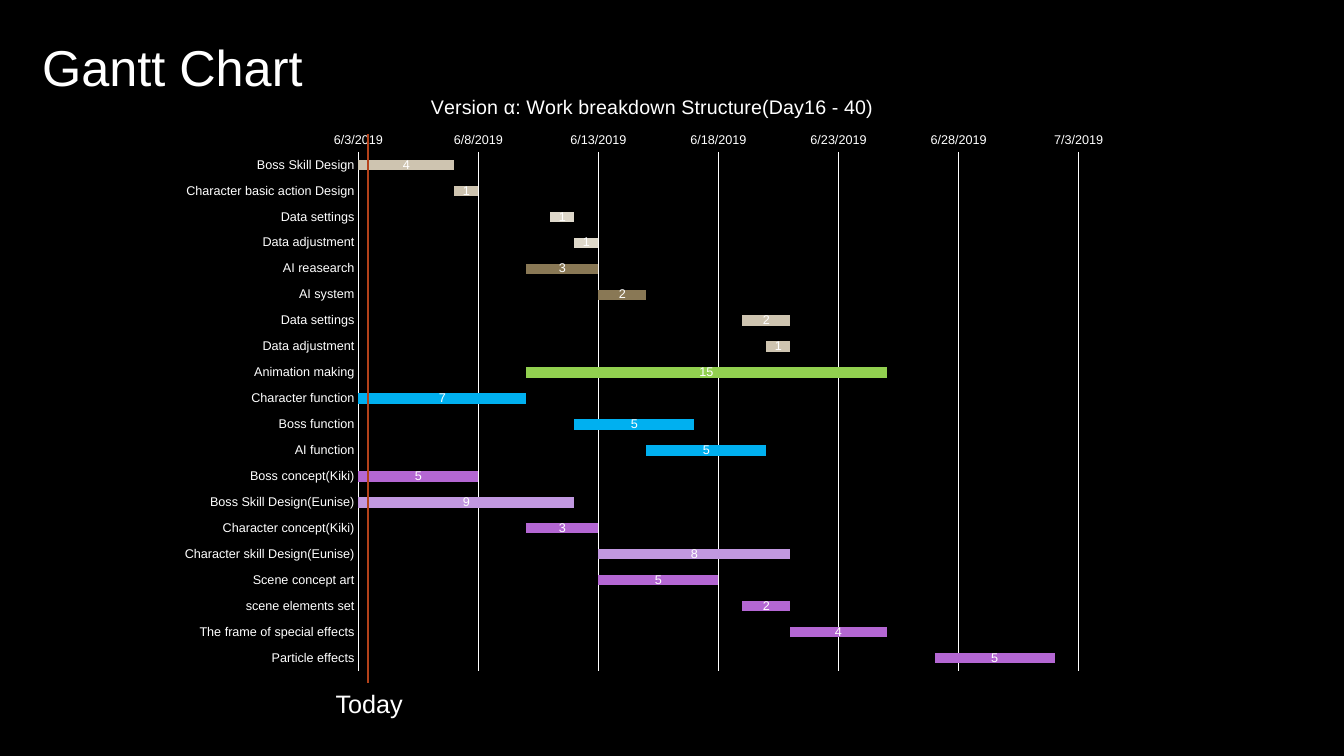
"""Builds a Gantt chart slide for the version α work breakdown."""
import pptx
import pptx.chart.data
import pptx.dml.color
import pptx.enum.chart
import pptx.enum.shapes
import pptx.enum.text
import pptx.oxml
import pptx.oxml.ns
import pptx.util

Inches, Pt = pptx.util.Inches, pptx.util.Pt
RGBColor = pptx.dml.color.RGBColor
WHITE = RGBColor(0xFF, 0xFF, 0xFF)
BLACK = RGBColor(0x00, 0x00, 0x00)
RUST = RGBColor(0xB4, 0x42, 0x1A)
GOLD = RGBColor(0xD3, 0xBA, 0x68)
SAND = RGBColor(0xCE, 0xC4, 0xB0)
CREAM = RGBColor(0xDE, 0xD8, 0xCA)
BROWN = RGBColor(0x89, 0x78, 0x55)
GREEN = RGBColor(0x92, 0xD0, 0x50)
BLUE = RGBColor(0x00, 0xB0, 0xF0)
PURPLE = RGBColor(0xB4, 0x67, 0xD3)
LILAC = RGBColor(0xC1, 0x98, 0xE0)
FONT = "Arial"

FIRST, LAST, STEP = 43619, 43651, 5
TITLE = "Version α: Work breakdown Structure(Day16 - 40)"
TASKS = [
    ("Boss Skill Design", 43619, 4, SAND),
    ("Character basic action Design", 43623, 1, SAND),
    ("Data settings", 43627, 1, CREAM),
    ("Data adjustment", 43628, 1, CREAM),
    ("AI reasearch", 43626, 3, BROWN),
    ("AI system", 43629, 2, BROWN),
    ("Data settings", 43635, 2, SAND),
    ("Data adjustment", 43636, 1, SAND),
    ("Animation making", 43626, 15, GREEN),
    ("Character function", 43619, 7, BLUE),
    ("Boss function", 43628, 5, BLUE),
    ("AI function", 43631, 5, BLUE),
    ("Boss concept(Kiki)", 43619, 5, PURPLE),
    ("Boss Skill Design(Eunise)", 43619, 9, LILAC),
    ("Character concept(Kiki)", 43626, 3, PURPLE),
    ("Character skill Design(Eunise)", 43629, 8, LILAC),
    ("Scene concept art", 43629, 5, PURPLE),
    ("scene elements set", 43635, 2, PURPLE),
    ("The frame of special effects", 43637, 4, PURPLE),
    ("Particle effects", 43643, 5, PURPLE),
]
TEXTS = [
    ("Gantt Chart", (0.32, 0.31, 2.81, 0.71), 36, False),
    ("Today", (3.23, 6.78, 0.95, 0.4), 18, True),
]
FRAME = (1.6, 0.72, 9.77, 6.06)
HEAD = {"x": 0.27, "y": 0.03}
PLOT = {"x": 0.2, "y": 0.13, "w": 0.78, "h": 0.85}
TODAY = (3.65, 1.33, 3.65, 6.78)


def style(font, size):
    font.name = FONT
    font.size = Pt(size)
    font.bold = False
    font.color.rgb = WHITE


def place(node, spot, index):
    for old in node.findall(pptx.oxml.ns.qn("c:layout")):
        node.remove(old)
    modes = [f'<c:{key}Mode val="edge"/>' for key in "xy"]
    sizes = [f'<c:{key} val="{part}"/>' for key, part in spot.items()]
    inner = '<c:layoutTarget val="inner"/>' if "w" in spot else ""
    node.insert(index, pptx.oxml.parse_xml(
        f'<c:layout {pptx.oxml.ns.nsdecls("c")}><c:manualLayout>'
        + inner + "".join(modes + sizes)
        + "</c:manualLayout></c:layout>"))


def add_text(slide, text, box, size, wrap):
    frame = slide.shapes.add_textbox(*map(Inches, box)).text_frame
    frame.text = text
    frame.word_wrap = wrap
    frame.auto_size = pptx.enum.text.MSO_AUTO_SIZE.SHAPE_TO_FIT_TEXT
    style(frame.paragraphs[0].runs[0].font, size)


def set_axes(chart):
    enum = pptx.enum.chart
    names, dates = chart.category_axis, chart.value_axis
    for axis in (names, dates):
        axis.major_tick_mark = axis.minor_tick_mark = enum.XL_TICK_MARK.NONE
        style(axis.tick_labels.font, 9)
    names.reverse_order = True
    dates.minimum_scale, dates.maximum_scale = FIRST, LAST
    dates.major_unit = STEP
    dates.tick_labels.number_format = "m/d/yyyy"
    dates.tick_labels.number_format_is_linked = False
    dates.format.line.fill.background()
    for line in (names.format.line, dates.major_gridlines.format.line):
        line.color.rgb = WHITE
        line.width = Pt(0.75)


def add_gantt(slide):
    enum = pptx.enum.chart
    names, starts, days, tints = zip(*TASKS)
    data = pptx.chart.data.CategoryChartData()
    data.categories = names
    data.add_series("Series 1", starts)
    data.add_series("Series 2", days)
    chart = slide.shapes.add_chart(
        enum.XL_CHART_TYPE.BAR_STACKED, *map(Inches, FRAME), data).chart
    style(chart.font, 10)
    chart.has_legend = False
    title = chart.chart_title
    title.text_frame.text = TITLE
    style(title.text_frame.paragraphs[0].runs[0].font, 14)
    place(title._element, HEAD, 1)
    place(chart._chartSpace.chart.plotArea, PLOT, 0)
    set_axes(chart)
    plot = chart.plots[0]
    plot.vary_by_categories = False
    plot.gap_width, plot.overlap = 150, 100
    offset, bars = plot.series
    offset.format.fill.background()
    bars.format.fill.solid()
    bars.format.fill.fore_color.rgb = GOLD
    for index, tint in enumerate(tints):
        fill = bars.points[index].format.fill
        fill.solid()
        fill.fore_color.rgb = tint
    labels = bars.data_labels
    labels.show_value = True
    labels.position = enum.XL_LABEL_POSITION.CENTER
    style(labels.font, 9)


def add_today(slide):
    line = slide.shapes.add_connector(
        pptx.enum.shapes.MSO_CONNECTOR.STRAIGHT, *map(Inches, TODAY))
    line.line.color.rgb = RUST
    line.line.width = Pt(0.75)
    line._element.spPr.append(pptx.oxml.parse_xml(
        f'<a:effectLst {pptx.oxml.ns.nsdecls("a")}/>'))


def main():
    deck = pptx.Presentation()
    deck.slide_width, deck.slide_height = Inches(13.33), Inches(7.5)
    slide = deck.slides.add_slide(deck.slide_layouts[6])
    slide.background.fill.solid()
    slide.background.fill.fore_color.rgb = BLACK
    add_gantt(slide)
    add_today(slide)
    for item in TEXTS:
        add_text(slide, *item)
    deck.save("out.pptx")


if __name__ == "__main__":
    main()
